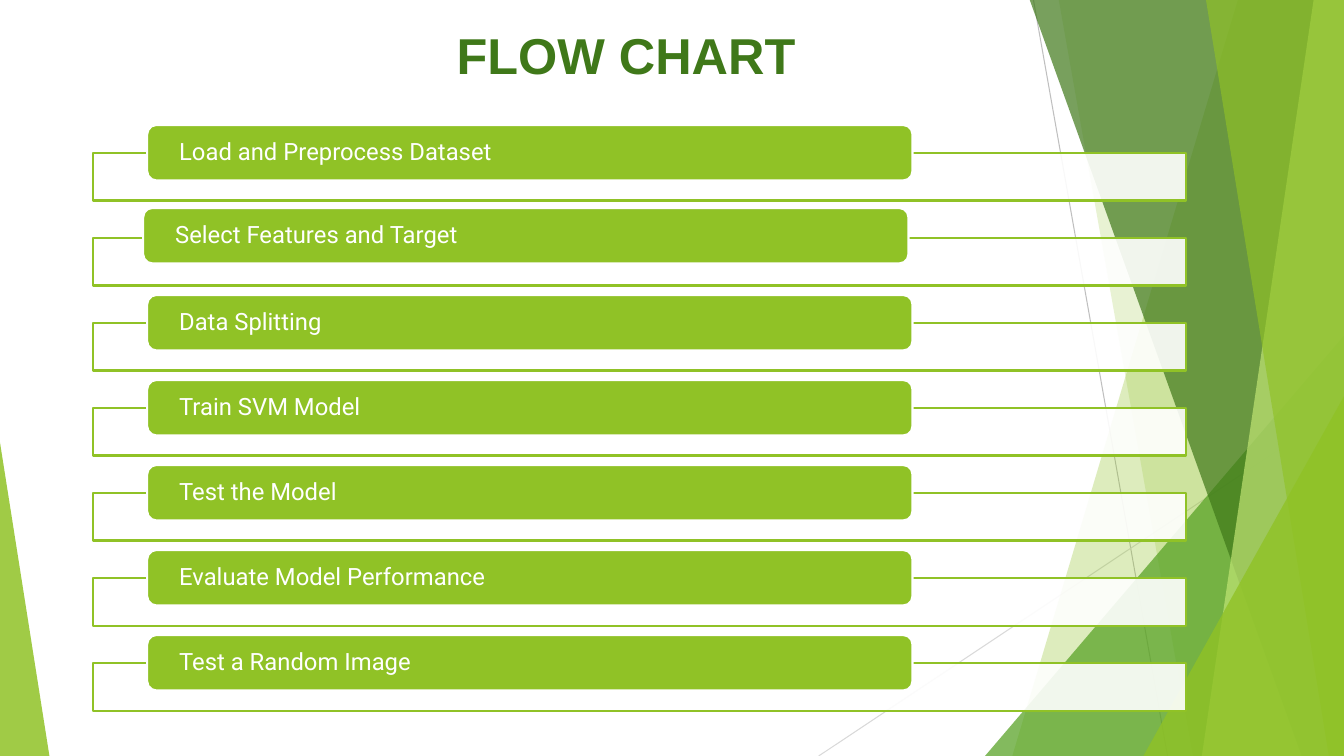
from dataclasses import dataclass

from lxml.etree import SubElement
from pptx import Presentation
from pptx.dml.color import RGBColor
from pptx.dml.fill import FillFormat
from pptx.enum.shapes import MSO_CONNECTOR, MSO_SHAPE
from pptx.enum.text import MSO_ANCHOR, PP_ALIGN
from pptx.oxml.ns import qn
from pptx.shapes.autoshape import Shape
from pptx.slide import Slide
from pptx.text.text import TextFrame
from pptx.util import Inches, Pt

COLOURS = {
    "lime": "90C226",
    "pale lime": "C0E474",
    "green": "54A021",
    "forest": "3F7819",
    "white": "FFFFFF",
    "grey": "BFBFBF",
    "light grey": "D9D9D9",
}
WIDTH, HEIGHT = 13.33, 7.5
FACET_TOP = -0.01
FIRST_FRAME_TOP, LAST_FRAME_TOP = 1.52, 6.58
LABEL_RISE = 0.28


@dataclass(frozen=True)
class Ray:
    start: tuple[float, float]
    end: tuple[float, float]
    colour: str


@dataclass(frozen=True)
class Facet:
    top_left: float
    bottom_left: float
    colour: str
    opacity: int


@dataclass(frozen=True)
class Wedge:
    left: float
    top: float
    width: float
    apex: float
    colour: str
    opacity: int


@dataclass(frozen=True)
class Step:
    label: str
    left: float = 1.46
    lift: float = 0


BACKDROP = [
    Ray((10.25, 0), (11.58, HEIGHT), "grey"),
    Ray((WIDTH, 4.03), (8.12, HEIGHT), "light grey"),
    Facet(12.28, 10.04, "lime", 30),
    Facet(10.5, 11.83, "lime", 20),
    Wedge(9.77, 3.33, 3.56, 1, "green", 72),
    Facet(10.21, 12.91, "forest", 70),
    Facet(13.03, 11.92, "pale lime", 70),
    Facet(11.96, 13.18, "lime", 65),
    Wedge(11.34, 3.93, 1.99, 1, "lime", 80),
    Wedge(0, 4.39, 0.49, 0, "lime", 85),
]

STEPS = [
    Step("Load and Preprocess Dataset"),
    Step("Select Features and Target", left=1.42, lift=0.02),
    Step("Data Splitting"),
    Step("Train SVM Model"),
    Step("Test the Model"),
    Step("Evaluate Model Performance"),
    Step("Test a Random Image"),
]


def rgb(colour: str) -> RGBColor:
    return RGBColor.from_string(COLOURS[colour])


def paint(fill: FillFormat, shape: Shape, colour: str, opacity: int) -> None:
    fill.solid()
    fill.fore_color.rgb = rgb(colour)
    if opacity < 100:
        tint = shape.element.spPr.find(qn("a:solidFill"))[0]
        SubElement(tint, qn("a:alpha")).set("val", str(opacity * 1000))


def style(shape: Shape, colour: str, opacity: int = 100, outline: str = "") -> None:
    shape.shadow.inherit = False
    paint(shape.fill, shape, colour, opacity)
    if outline:
        shape.line.color.rgb = rgb(outline)
        shape.line.width = Pt(1.5)
    else:
        shape.line.fill.background()


def write(frame: TextFrame, text: str, *, font: str, size: float, colour: str,
          bold: bool = False, align: PP_ALIGN = PP_ALIGN.LEFT,
          anchor: MSO_ANCHOR = MSO_ANCHOR.MIDDLE, spacing: float = 1,
          side: float = 0.1, edge: float = 0) -> None:
    frame.word_wrap = True
    frame.vertical_anchor = anchor
    frame.margin_left = frame.margin_right = Inches(side)
    frame.margin_top = frame.margin_bottom = Inches(edge)
    para = frame.paragraphs[0]
    para.alignment = align
    para.line_spacing = spacing
    span = para.add_run()
    span.text = text
    span.font.name = font
    span.font.size = Pt(size)
    span.font.bold = bold
    span.font.color.rgb = rgb(colour)


def add_block(page: Slide, kind: MSO_SHAPE, left: float, top: float,
              width: float, height: float) -> Shape:
    return page.shapes.add_shape(
        kind, Inches(left), Inches(top), Inches(width), Inches(height))


def draw_ray(page: Slide, ray: Ray) -> None:
    ends = [Inches(value) for value in (*ray.start, *ray.end)]
    line = page.shapes.add_connector(MSO_CONNECTOR.STRAIGHT, *ends)
    line.line.color.rgb = rgb(ray.colour)
    line.line.width = Pt(0.75)
    SubElement(line.element.spPr, qn("a:effectLst"))


def draw_facet(page: Slide, facet: Facet) -> None:
    corners = [(WIDTH, FACET_TOP), (WIDTH, HEIGHT), (facet.bottom_left, HEIGHT)]
    builder = page.shapes.build_freeform(Inches(facet.top_left), Inches(FACET_TOP))
    builder.add_line_segments([(Inches(x), Inches(y)) for x, y in corners])
    style(builder.convert_to_shape(), facet.colour, facet.opacity)


def draw_wedge(page: Slide, wedge: Wedge) -> None:
    shape = add_block(page, MSO_SHAPE.ISOSCELES_TRIANGLE, wedge.left, wedge.top,
                      wedge.width, HEIGHT - wedge.top)
    shape.adjustments[0] = wedge.apex
    style(shape, wedge.colour, wedge.opacity)


def draw_title(page: Slide, text: str) -> None:
    title = page.shapes.title
    title.left, title.top = Inches(0.5), Inches(0.19)
    title.width, title.height = Inches(11.42), Inches(1.15)
    write(title.text_frame, text, font="Arial", size=36, colour="forest", bold=True,
          align=PP_ALIGN.CENTER, anchor=MSO_ANCHOR.TOP, edge=0.05)
    page.shapes.element.append(title.element)


def draw_step(page: Slide, step: Step, top: float) -> None:
    frame = add_block(page, MSO_SHAPE.RECTANGLE, 0.92, top, 10.84, 0.47)
    style(frame, "white", 90, outline="lime")
    bar = add_block(page, MSO_SHAPE.ROUNDED_RECTANGLE, step.left,
                    top - LABEL_RISE - step.lift, 7.59, 0.55)
    style(bar, "lime", outline="white")
    write(bar.text_frame, step.label, font="Roboto", size=17, colour="white",
          spacing=0.9, side=0.29)


def main() -> None:
    deck = Presentation()
    deck.slide_width, deck.slide_height = Inches(WIDTH), Inches(HEIGHT)
    page = deck.slides.add_slide(deck.slide_layouts.get_by_name("Title Only"))
    painters = {Ray: draw_ray, Facet: draw_facet, Wedge: draw_wedge}
    for item in BACKDROP:
        painters[type(item)](page, item)
    draw_title(page, "FLOW CHART")
    pitch = (LAST_FRAME_TOP - FIRST_FRAME_TOP) / (len(STEPS) - 1)
    for index, step in enumerate(STEPS):
        draw_step(page, step, FIRST_FRAME_TOP + index * pitch)
    deck.save("out.pptx")


if __name__ == "__main__":
    main()
